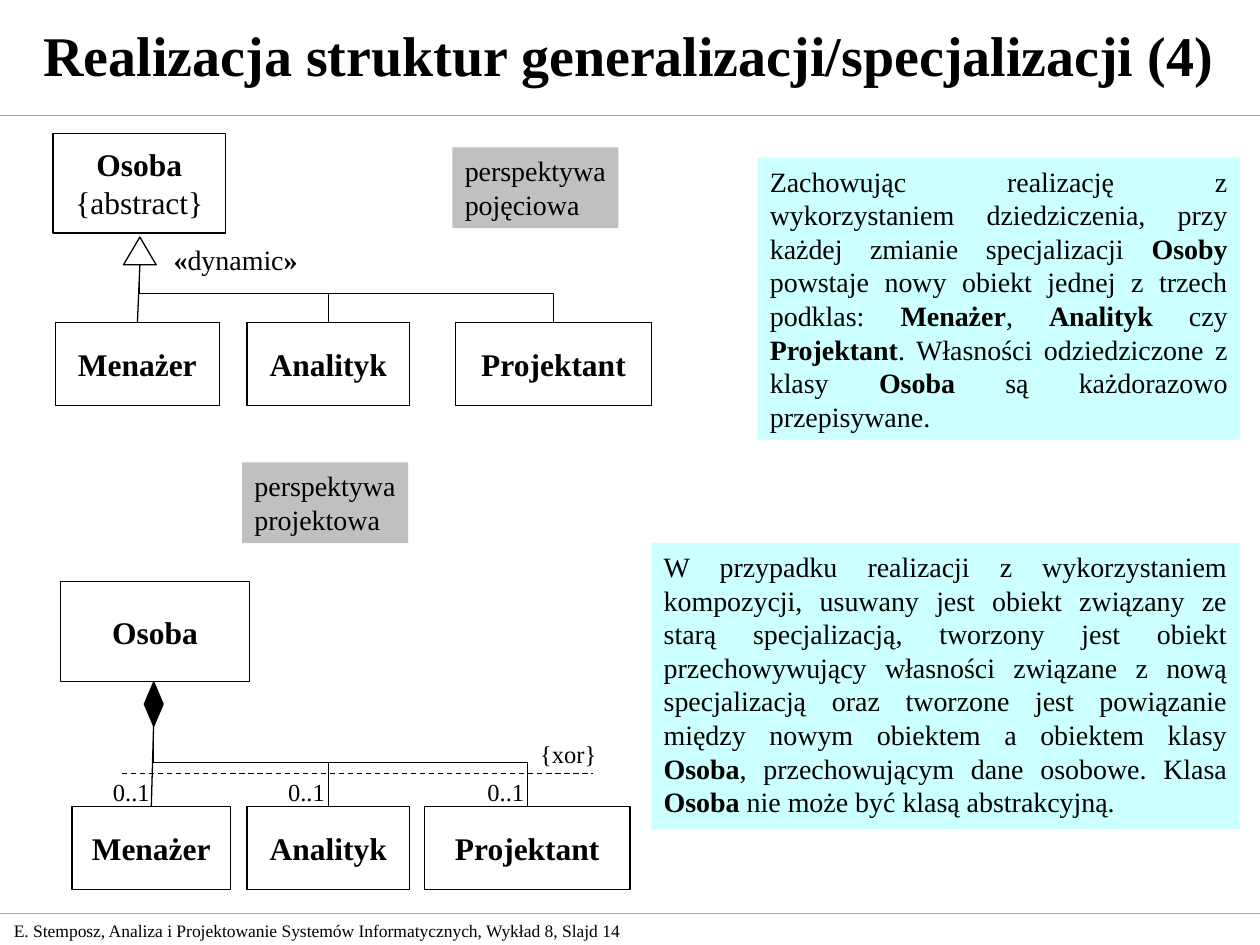
from lxml import etree
from pptx import Presentation
from pptx.dml.color import RGBColor
from pptx.enum.dml import MSO_LINE
from pptx.enum.shapes import MSO_CONNECTOR, MSO_SHAPE
from pptx.enum.text import MSO_ANCHOR, PP_ALIGN
from pptx.oxml.ns import qn
from pptx.util import Cm, Pt

LEFT, CENTER, RIGHT, JUSTIFY = PP_ALIGN.LEFT, PP_ALIGN.CENTER, PP_ALIGN.RIGHT, PP_ALIGN.JUSTIFY
TOP, MIDDLE = MSO_ANCHOR.TOP, MSO_ANCHOR.MIDDLE
RECTANGLE, TRIANGLE, DIAMOND = MSO_SHAPE.RECTANGLE, MSO_SHAPE.ISOSCELES_TRIANGLE, MSO_SHAPE.DIAMOND
STRAIGHT, ELBOW = MSO_CONNECTOR.STRAIGHT, MSO_CONNECTOR.ELBOW
DASH = MSO_LINE.DASH
FONT = "Times New Roman"
BLACK, WHITE, ORANGE, CYAN, GRAY = "000000", "FFFFFF", "FF9900", "CCFFFF", "C0C0C0"

INHERITANCE_NOTE = (
    "Zachowując realizację z wykorzystaniem dziedziczenia, przy każdej zmianie "
    "specjalizacji *Osoby* powstaje nowy obiekt jednej z trzech podklas: *Menażer*, "
    "*Analityk* czy *Projektant*. Własności odziedziczone z klasy *Osoba* są "
    "każdorazowo przepisywane."
)
COMPOSITION_NOTE = (
    "W przypadku realizacji z wykorzystaniem kompozycji, usuwany jest obiekt związany "
    "ze starą specjalizacją, tworzony jest obiekt przechowywujący własności związane z "
    "nową specjalizacją oraz tworzone jest powiązanie między nowym obiektem a obiektem "
    "klasy *Osoba*, przechowującym dane osobowe. Klasa *Osoba* nie może być klasą "
    "abstrakcyjną."
)


def color(value):
    """Return the colour for a hex string."""
    return RGBColor.from_string(value)


def write_text(shape, text, size=16, align=LEFT, anchor=TOP, wrap=False, margins=(0.25, 0.13)):
    """Write lines of text into a shape, with bold parts between asterisks."""
    frame = shape.text_frame
    frame.word_wrap = wrap
    frame.vertical_anchor = anchor
    frame.margin_left = frame.margin_right = Cm(margins[0])
    frame.margin_top = frame.margin_bottom = Cm(margins[1])
    for index, line in enumerate(text.split("\n")):
        paragraph = frame.add_paragraph() if index else frame.paragraphs[0]
        paragraph.alignment = align
        for part, content in enumerate(line.split("*")):
            if content:
                run = paragraph.add_run()
                run.text = content
                run.font.name = FONT
                run.font.size = Pt(size)
                run.font.bold = part % 2 == 1
                run.font.color.rgb = color(BLACK)


def add_label(slide, text, left, top, width, height, **text_format):
    """Add a text box."""
    box = slide.shapes.add_textbox(Cm(left), Cm(top), Cm(width), Cm(height))
    write_text(box, text, **text_format)


def add_figure(slide, kind, left, top, width, height, fill=None, line=None):
    """Add a preset shape with an optional fill and outline."""
    shape = slide.shapes.add_shape(kind, Cm(left), Cm(top), Cm(width), Cm(height))
    shape.shadow.inherit = False
    if fill:
        shape.fill.solid()
        shape.fill.fore_color.rgb = color(fill)
    else:
        shape.fill.background()
    if line:
        shape.line.color.rgb = color(line)
        shape.line.width = Pt(0.75)
    else:
        shape.line.fill.background()
    return shape


def add_panel(slide, text, left, top, width, height, fill, **text_format):
    """Add a filled panel with text."""
    panel = add_figure(slide, RECTANGLE, left, top, width, height, fill=fill)
    write_text(panel, text, **text_format)


def add_class(slide, text, left, top, width, height):
    """Add a class box with its centred name."""
    box = add_figure(slide, RECTANGLE, left, top, width, height, fill=WHITE, line=BLACK)
    write_text(box, text, size=18, align=CENTER, anchor=MIDDLE, margins=(0, 0))
    return box


def add_line(slide, start, end, line=BLACK, kind=STRAIGHT, dash=None):
    """Add a thin connector without a shadow."""
    connector = slide.shapes.add_connector(kind, *(Cm(value) for value in (*start, *end)))
    connector.line.color.rgb = color(line)
    connector.line.width = Pt(0.75)
    if dash:
        connector.line.dash_style = dash
    etree.SubElement(connector._element.spPr, qn("a:effectLst"))
    return connector


def add_branch(slide, start, end):
    """Add an elbow connector that leaves downwards and arrives downwards."""
    middle_x, middle_y = (start[0] + end[0]) / 2, (start[1] + end[1]) / 2
    half_x, half_y = (end[0] - start[0]) / 2, (end[1] - start[1]) / 2
    connector = add_line(
        slide,
        (middle_x + half_y, middle_y - half_x),
        (middle_x - half_y, middle_y + half_x),
        kind=ELBOW,
    )
    connector._element.spPr.find(qn("a:xfrm")).set("rot", "16200000")


def add_subclasses(slide, root, top, columns):
    """Add the row of subclasses and join each one to the root point."""
    names = ("Menażer", "Analityk", "Projektant")
    for index, (name, (left, width)) in enumerate(zip(names, columns)):
        box = add_class(slide, f"*{name}*", left, top, width, 1.68)
        target = (left + width / 2, top)
        if index:
            add_branch(slide, root, target)
        else:
            add_line(slide, root, target).end_connect(box, 0)


def add_frame(slide):
    """Add the title, the footer and their rules."""
    add_label(slide, "*Realizacja struktur generalizacji/specjalizacji (4)*", 0, -0.08, 25.37, 2.34,
              size=32, align=CENTER, anchor=MIDDLE, wrap=True)
    add_label(slide, "E. Stemposz, Analiza i Projektowanie Systemów Informatycznych, Wykład 8, Slajd 14",
              0.03, 18.42, 13.31, 0.69, size=10, anchor=MIDDLE, wrap=True)
    for height in (2.33, 18.41):
        add_line(slide, (0, height), (25.4, height), ORANGE)


def add_conceptual_view(slide):
    """Add the generalization diagram and its note."""
    add_class(slide, "*Osoba*\n{abstract}", 1.07, 2.69, 3.48, 2.01)
    add_figure(slide, TRIANGLE, 2.49, 4.78, 0.66, 0.56, line=BLACK)
    add_subclasses(slide, (2.82, 5.34), 6.5, ((1.12, 3.3), (4.98, 3.28), (9.19, 3.94)))
    add_label(slide, "*«*dynamic*»*", 3.25, 4.75, 3.4, 0.94)
    add_panel(slide, "perspektywa\npojęciowa", 9.12, 2.97, 3.35, 1.63, GRAY)
    add_panel(slide, INHERITANCE_NOTE, 15.27, 3.18, 9.73, 5.69, CYAN, align=JUSTIFY, wrap=True)


def add_design_view(slide):
    """Add the composition diagram and its note."""
    add_class(slide, "*Osoba*", 1.22, 11.73, 3.81, 2.01)
    add_subclasses(slide, (3.1, 14.48), 16.26, ((1.45, 3.2), (4.98, 3.28), (8.56, 4.14)))
    add_figure(slide, DIAMOND, 2.91, 13.75, 0.38, 0.89, fill=BLACK, line=BLACK)
    add_line(slide, (2.46, 15.59), (11.96, 15.59), dash=DASH)
    add_label(slide, "{xor}", 10.64, 14.76, 2, 0.86, size=14)
    for left in (1.63, 5.16, 9.18):
        add_label(slide, "0..1", left, 15.54, 1.64, 0.86, size=14, align=RIGHT)
    add_panel(slide, "perspektywa\nprojektowa", 4.88, 9.32, 3.35, 1.63, GRAY)
    add_panel(slide, COMPOSITION_NOTE, 13.13, 10.95, 11.86, 5.77, CYAN, align=JUSTIFY, wrap=True)


def main():
    """Build and save the slide."""
    presentation = Presentation()
    presentation.slide_width, presentation.slide_height = Cm(25.4), Cm(19.05)
    slide = presentation.slides.add_slide(presentation.slide_layouts[6])
    add_frame(slide)
    add_conceptual_view(slide)
    add_design_view(slide)
    presentation.save("out.pptx")


if __name__ == "__main__":
    main()
